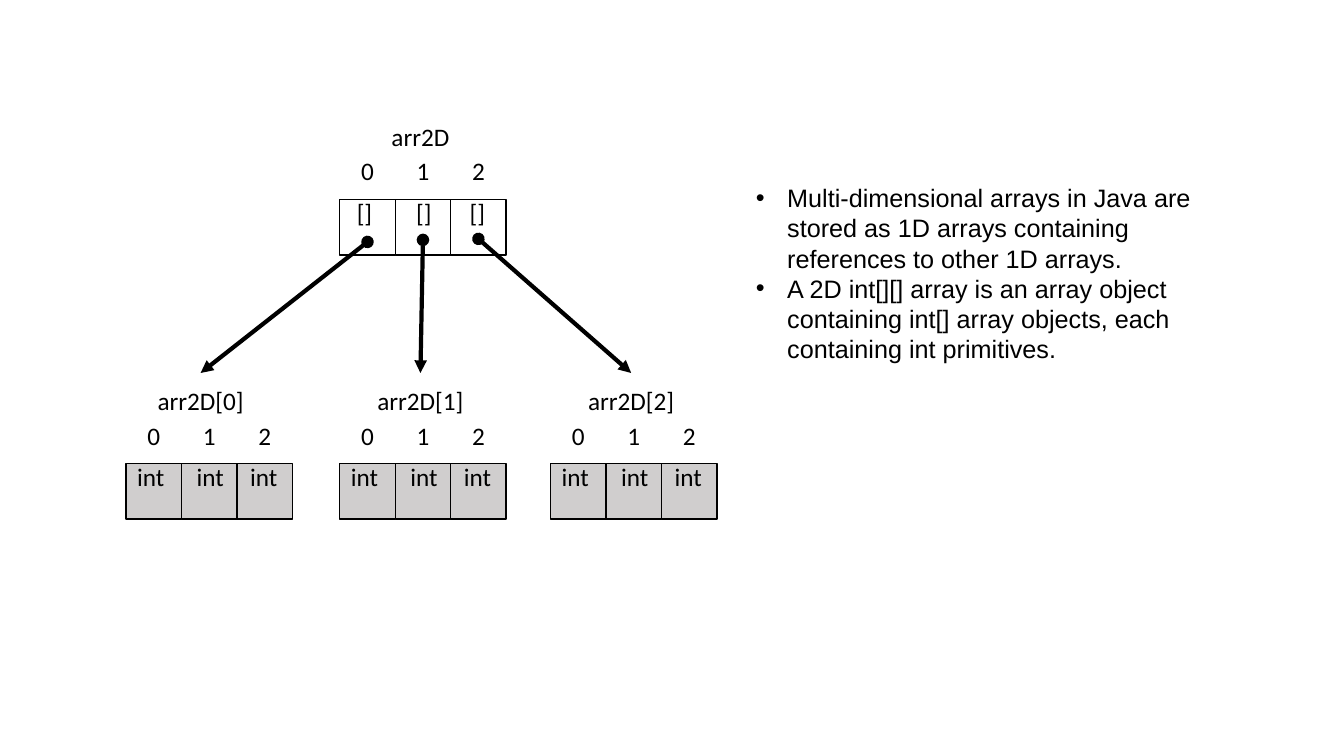
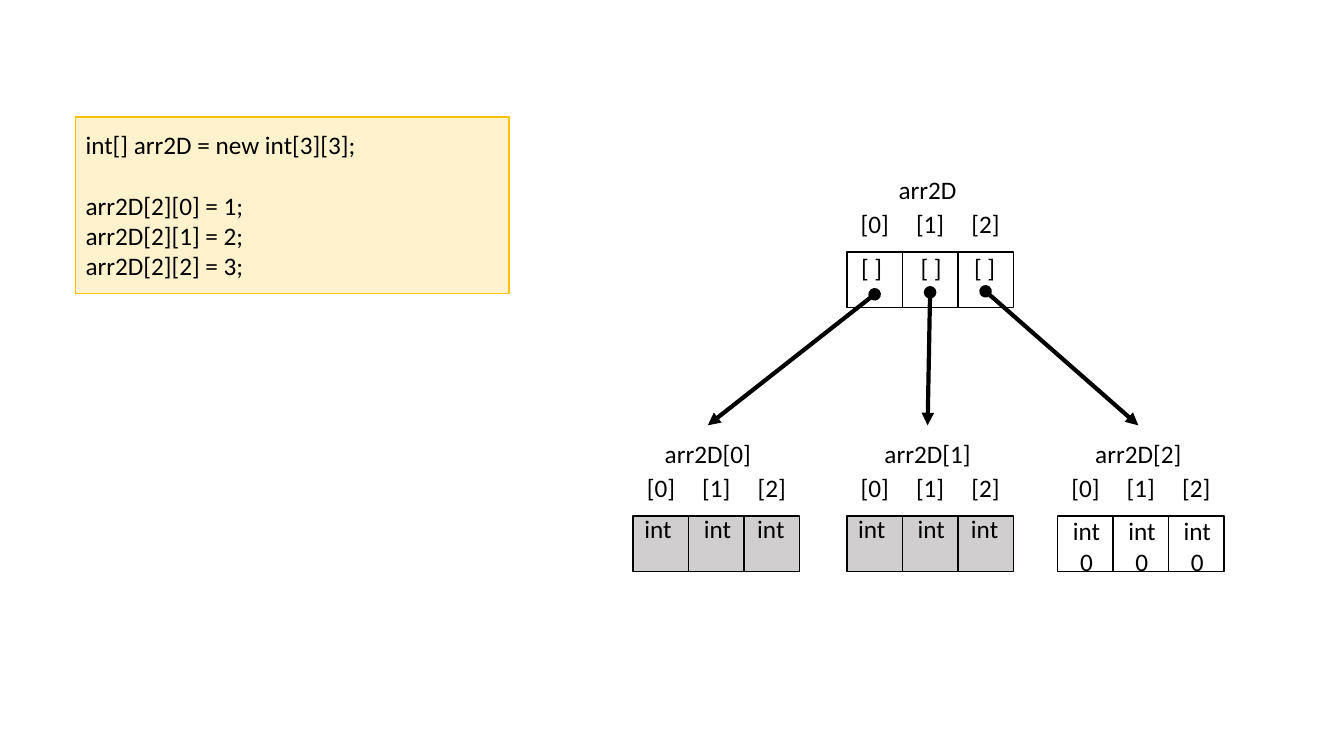
from lxml import etree
from pptx import Presentation
from pptx.dml.color import RGBColor
from pptx.enum import shapes, text
from pptx.oxml.ns import qn
from pptx.util import Inches, Pt

COLOURS = {"ink": "000000", "grey": "D0CECE", "cream": "FFF2CC", "gold": "FFC000"}
BODY_FONT, DIAGRAM_FONT = "Arial", "Calibri"
TEXT_SIZE = Pt(18)

# Array geometry, in inches from the top left of the array's name
CELL, PITCH = 0.55, 0.55
INDEX_TOP, CELL_TOP = 0.34, 0.9
NAME_CENTRE = 0.8
LABEL_SHIFTS = (-0.03, 0.01, -0.01)

# Diagram geometry, in inches from the top left of the diagram
CHILD_LEFTS = (0, 2.12, 4.21)
CHILD_CENTRES = (0.74, NAME_CENTRE, NAME_CENTRE)
CHILD_TOP = 2.62
DOT_DEPTHS = (0.42, 0.4, 0.39)


def colour(name):
    return RGBColor.from_string(COLOURS[name])


def write(shape, lines, font, align=text.PP_ALIGN.LEFT):
    """Fill a shape with one paragraph per line."""
    frame = shape.text_frame
    frame.word_wrap = True
    frame.text = "\n".join(lines)
    for paragraph in frame.paragraphs:
        paragraph.alignment = align
        for run in paragraph.runs:
            run.font.name = font
            run.font.size = TEXT_SIZE
            run.font.color.rgb = colour("ink")
    return frame


def add_rectangle(parent, left, top, width, height, fill, line):
    shape = parent.shapes.add_shape(
        shapes.MSO_SHAPE.RECTANGLE,
        Inches(left), Inches(top), Inches(width), Inches(height))
    shape.shadow.inherit = False
    if fill:
        shape.fill.solid()
        shape.fill.fore_color.rgb = colour(fill)
    else:
        shape.fill.background()
    shape.line.color.rgb = colour(line)
    shape.line.width = Pt(1)
    return shape


def add_label(parent, left, top, width, height, *lines):
    box = parent.shapes.add_textbox(
        Inches(left), Inches(top), Inches(width), Inches(height))
    frame = write(box, lines, DIAGRAM_FONT, text.PP_ALIGN.CENTER)
    frame.vertical_anchor = text.MSO_ANCHOR.MIDDLE
    frame.margin_left = frame.margin_right = 0
    frame.margin_top = frame.margin_bottom = 0


def add_arrow(slide, start, end):
    arrow = slide.shapes.add_connector(
        shapes.MSO_CONNECTOR.STRAIGHT, *map(Inches, start + end))
    arrow.line.color.rgb = colour("ink")
    arrow.line.width = Pt(3)
    line = arrow.line._get_or_add_ln()
    for tag, kind in (("a:headEnd", "oval"), ("a:tailEnd", "triangle")):
        etree.SubElement(line, qn(tag)).set("type", kind)
    etree.SubElement(arrow._element.spPr, qn("a:effectLst"))


def add_array(slide, left, top, name, index_format, content, fill=None,
              centre=NAME_CENTRE, label_drop=0.02):
    """Group a name, three indices and three cells holding the content lines."""
    group = slide.shapes.add_group_shape()
    add_label(group, left, top, 2 * centre, CELL, name)
    several = len(content) > 1
    for index, shift in enumerate(LABEL_SHIFTS):
        cell_left = left + index * PITCH
        add_rectangle(group, cell_left, top + CELL_TOP, CELL, CELL, fill, "ink")
        add_label(group, cell_left, top + INDEX_TOP, CELL, CELL,
                  index_format.format(index))
        add_label(group, cell_left + (0.01 if several else shift),
                  top + CELL_TOP + label_drop, CELL,
                  CELL if several else 0.21, *content)


def add_array_diagram(slide, left, top, index_format, reference, contents, fills,
                      reference_drop):
    """Draw the outer array, its references and the three inner arrays."""
    outer_left = left + CHILD_LEFTS[1]

    # References
    for index, depth in enumerate(DOT_DEPTHS):
        start = (outer_left + index * PITCH + CELL / 2, top + CELL_TOP + depth)
        end = (left + CHILD_LEFTS[index] + CHILD_CENTRES[index], top + CHILD_TOP)
        add_arrow(slide, start, end)

    # Inner arrays
    for index, (content, fill) in enumerate(zip(contents, fills)):
        add_array(slide, left + CHILD_LEFTS[index], top + CHILD_TOP,
                  f"arr2D[{index}]", index_format, content, fill,
                  CHILD_CENTRES[index])

    # Outer array
    add_array(slide, outer_left, top, "arr2D", index_format, [reference],
              label_drop=reference_drop)


def add_bullets(slide, left, top, width, height, lines):
    box = slide.shapes.add_textbox(
        Inches(left), Inches(top), Inches(width), Inches(height))
    for paragraph in write(box, lines, BODY_FONT).paragraphs:
        properties = paragraph._p.get_or_add_pPr()
        properties.set("marL", str(Inches(0.31)))
        properties.set("indent", str(-Inches(0.31)))
        etree.SubElement(properties, qn("a:buFont")).set("typeface", BODY_FONT)
        etree.SubElement(properties, qn("a:buChar")).set("char", "•")


def add_code_box(slide, left, top, width, height, declaration, assignments):
    box = add_rectangle(slide, left, top, width, height, "cream", "gold")
    frame = write(box, [declaration, *assignments], DIAGRAM_FONT)
    frame.vertical_anchor = text.MSO_ANCHOR.MIDDLE
    frame.paragraphs[1].space_before = Pt(22)


def build_concept_slide(presentation):
    slide = presentation.slides.add_slide(presentation.slide_layouts[6])
    add_array_diagram(slide, 1.25, 1.08, "{}", "[]", [["int"]] * 3,
                      ["grey"] * 3, 0.02)
    add_bullets(slide, 7.4, 1.76, 5.07, 1.92, [
        "Multi-dimensional arrays in Java are stored as 1D arrays containing "
        "references to other 1D arrays.",
        "A 2D int[][] array is an array object containing int[] array objects, "
        "each containing int primitives."])


def build_code_slide(presentation):
    slide = presentation.slides.add_slide(presentation.slide_layouts[6])
    add_array_diagram(slide, 6.28, 1.6, "[{}]", "[ ]",
                      [["int"], ["int"], ["int", "0"]],
                      ["grey", "grey", None], 0.05)
    add_code_box(slide, 0.75, 1.16, 4.3, 1.75, "int[] arr2D = new int[3][3];",
                 [f"arr2D[2][{index}] = {index + 1};" for index in range(3)])


def main():
    presentation = Presentation()
    presentation.slide_width = Inches(13.33)
    presentation.slide_height = Inches(7.5)
    build_concept_slide(presentation)
    build_code_slide(presentation)
    presentation.save("out.pptx")


if __name__ == "__main__":
    main()
